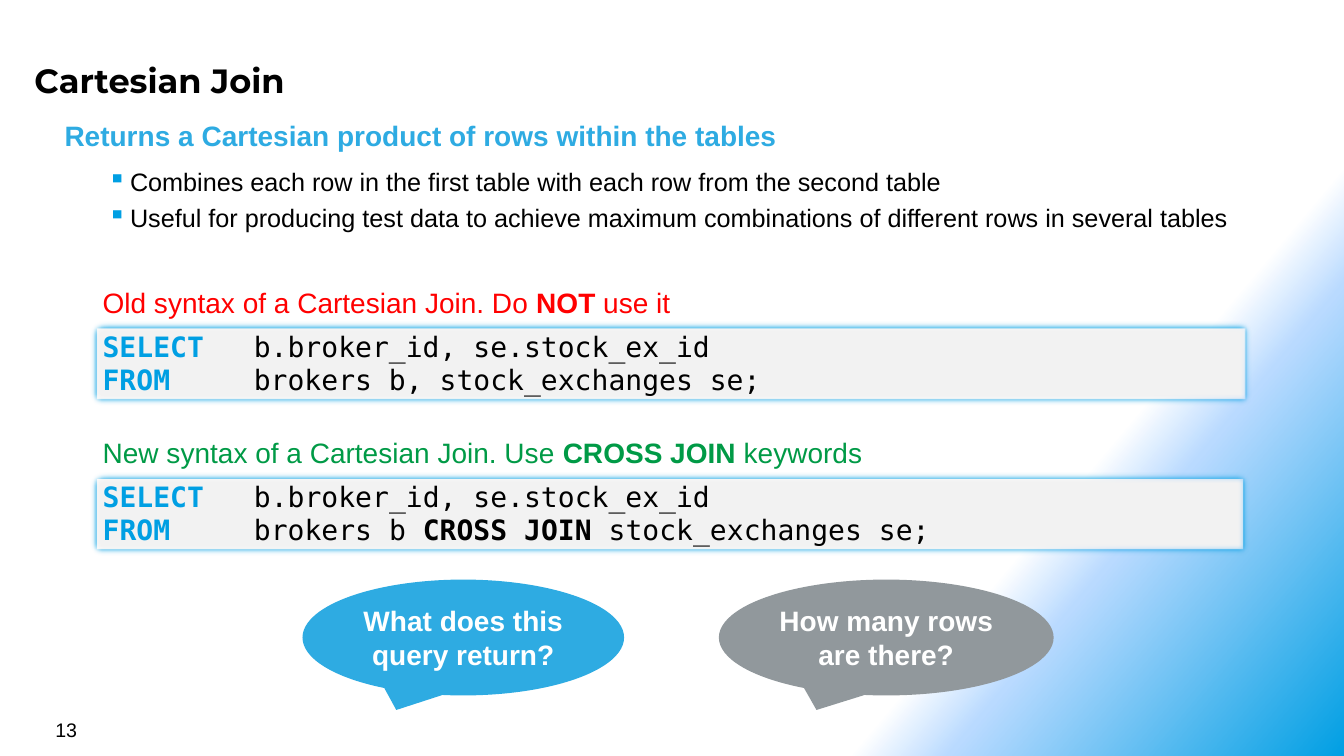
from collections import namedtuple
from dataclasses import dataclass

from lxml import etree
from pptx import Presentation
from pptx.dml.color import RGBColor
from pptx.enum.shapes import MSO_SHAPE
from pptx.enum.text import MSO_ANCHOR, PP_ALIGN
from pptx.oxml.ns import qn
from pptx.util import Emu, Inches, Pt

RECT, CALLOUT = MSO_SHAPE.RECTANGLE, MSO_SHAPE.OVAL_CALLOUT
TOP, MIDDLE = MSO_ANCHOR.TOP, MSO_ANCHOR.MIDDLE
LEFT, CENTER = PP_ALIGN.LEFT, PP_ALIGN.CENTER
SLIDE_W, SLIDE_H = Inches(13.33), Inches(7.5)

Box = namedtuple("Box", "left top width height")


@dataclass(frozen=True)
class Theme:
    """Colours, fonts and type sizes of the slide."""
    black: str = "000000"
    white: str = "FFFFFF"
    accent: str = "009FE3"
    sky: str = "2EABE2"
    pale: str = "B9DAFF"
    grey: str = "91989C"
    panel: str = "F2F2F2"
    red: str = "FF0000"
    green: str = "009A46"
    body_font: str = "Arial"
    title_font: str = "Montserrat"
    code_font: str = "DejaVu Sans Mono"
    title_size: int = 24
    lead_size: int = 20
    bullet_size: int = 18
    number_size: int = 14


T = Theme()


def share(left, top, width, height):
    """Return a box given in percent of the slide's width and height."""
    return Box(*(Emu(int(size * pct / 100)) for size, pct in
                 zip((SLIDE_W, SLIDE_H) * 2, (left, top, width, height))))


def add_xml(parent, tag, **attrs):
    """Append a DrawingML element with the given attributes."""
    return etree.SubElement(parent, qn(tag), attrs)


def write(shape, lines, size, color, font=T.body_font, bold=False,
          inset=0.1, anchor=TOP, align=LEFT):
    """Fill a shape with lines of (text, overrides) runs."""
    tf = shape.text_frame
    side, edge = Inches(inset), Inches(min(inset, 0.08) if inset < 0.1 else 0.05)
    frame = {"word_wrap": True, "vertical_anchor": anchor, "margin_left": side,
             "margin_right": side, "margin_top": edge, "margin_bottom": edge}
    for name, value in frame.items():
        setattr(tf, name, value)
    for i, line in enumerate(lines):
        p = tf.add_paragraph() if i else tf.paragraphs[0]
        p.alignment = align
        for text, changes in line:
            r = p.add_run()
            r.text = text
            look = {"size": Pt(size), "name": font, "bold": bold, "color": color, **changes}
            r.font.color.rgb = RGBColor.from_string(look.pop("color"))
            for name, value in look.items():
                setattr(r.font, name, value)
    return tf


def add_text(s, box, lines, size, color, **options):
    """Add a text box with the given lines."""
    return write(s.shapes.add_textbox(*box), lines, size, color, **options)


def add_filled(s, kind, box, fill):
    """Add a preset shape with a plain fill and no outline."""
    sp = s.shapes.add_shape(kind, *box)
    sp.shadow.inherit = False
    sp.fill.solid()
    sp.fill.fore_color.rgb = RGBColor.from_string(fill)
    sp.line.fill.background()
    return sp


def paint_background(s):
    """Paint the diagonal gradient that ends in the lower right corner."""
    fill = s.background.fill
    fill.gradient()
    fill.gradient_angle = 320
    stops = s.element.find(".//" + qn("a:gsLst"))
    for stop in list(stops):
        stops.remove(stop)
    for pos, color, alpha in ((75, T.white, 100), (80, T.pale, 50), (100, T.accent, 100)):
        stop = add_xml(stops, "a:gs", pos=str(pos * 1000))
        clr = add_xml(stop, "a:srgbClr", val=color)
        if alpha < 100:
            add_xml(clr, "a:alpha", val=str(alpha * 1000))


def add_bullets(s, box, items):
    """Add a list with small square bullets."""
    tf = add_text(s, box, [[(item, {})] for item in items], T.bullet_size, T.black, inset=0.08)
    for p in tf.paragraphs:
        p.level = 1
        p.space_before = Pt(4)
        props = p._p.get_or_add_pPr()
        props.set("marL", str(Inches(0.31)))
        props.set("indent", str(Inches(-0.22)))
        add_xml(add_xml(props, "a:buClr"), "a:srgbClr", val=T.accent)
        add_xml(props, "a:buChar", char="▪")


def add_example(s, box, caption, color, code):
    """Add a coloured caption above a soft-edged code panel."""
    caption_h = int(box.height * 0.36)
    add_text(s, box._replace(height=caption_h), [caption], T.lead_size, color)
    panel = box._replace(top=box.top + caption_h, height=box.height - caption_h)
    sp = add_filled(s, RECT, panel, T.panel)
    sp.line.color.rgb = RGBColor.from_string(T.accent)
    sp.line.width = Pt(6)
    effects = sp._element.spPr.find(qn("a:effectLst"))
    add_xml(effects, "a:softEdge", rad=str(Pt(5)))
    keyword = {"color": T.accent, "bold": True}
    lines = [[(word + "\t", keyword), *rest] for word, rest in code]
    tf = write(sp, lines, T.lead_size, T.black, font=T.code_font)
    for p in tf.paragraphs:
        tabs = add_xml(p._p.get_or_add_pPr(), "a:tabLst")
        add_xml(tabs, "a:tab", pos=str(Inches(1.5)), algn="l")


def add_question(s, box, text, fill):
    """Add a speech bubble with a question."""
    sp = add_filled(s, CALLOUT, box, fill)
    write(sp, [[(text, {})]], T.lead_size, T.white, bold=True, anchor=MIDDLE, align=CENTER)


def build_slide(prs):
    """Build the Cartesian join slide."""
    s = prs.slides.add_slide(prs.slide_layouts[6])
    strong = {"bold": True}
    columns = ("b.broker_id, se.stock_ex_id", {})
    paint_background(s)
    add_text(s, share(1.95, 6.8, 91.97, 7.33), [[("Cartesian Join", {})]],
             T.title_size, T.black, font=T.title_font, bold=True, inset=0.08)
    add_text(s, share(4.2, 14.67, 91.07, 6.67),
             [[("Returns a Cartesian product of rows within the tables", {})]],
             T.lead_size, T.sky, bold=True, inset=0.08)
    add_bullets(s, share(6.75, 20.93, 85.82, 11.07), (
        "Combines each row in the first table with each row from the second table",
        "Useful for producing test data to achieve maximum combinations of "
        "different rows in several tables"))
    add_example(
        s, share(6.9, 37.07, 85.97, 16.13),
        [("Old syntax of a Cartesian Join. Do", {}), (" NOT ", strong), ("use it", {})], T.red,
        [("SELECT", [columns]), ("FROM", [("brokers b, stock_exchanges se;", {})])])
    add_example(
        s, share(6.9, 56.93, 85.82, 16.13),
        [("New syntax of a Cartesian Join. Use ", {}), ("CROSS JOIN", strong), (" keywords", {})],
        T.green,
        [("SELECT", [columns]),
         ("FROM", [("brokers b ", {}), ("CROSS JOIN ", strong), ("stock_exchanges se;", {})])])
    add_question(s, share(22.51, 76.67, 23.93, 15.33), "What does this query return?", T.sky)
    add_question(s, share(53.49, 76.67, 24.91, 15.33), "How many rows are there?", T.grey)
    add_text(s, share(3.38, 94.27, 23.33, 4.4), [[("13", {})]], T.number_size, T.black)


def main():
    """Create and save the presentation."""
    prs = Presentation()
    prs.slide_width, prs.slide_height = SLIDE_W, SLIDE_H
    build_slide(prs)
    prs.save("out.pptx")


if __name__ == "__main__":
    main()
